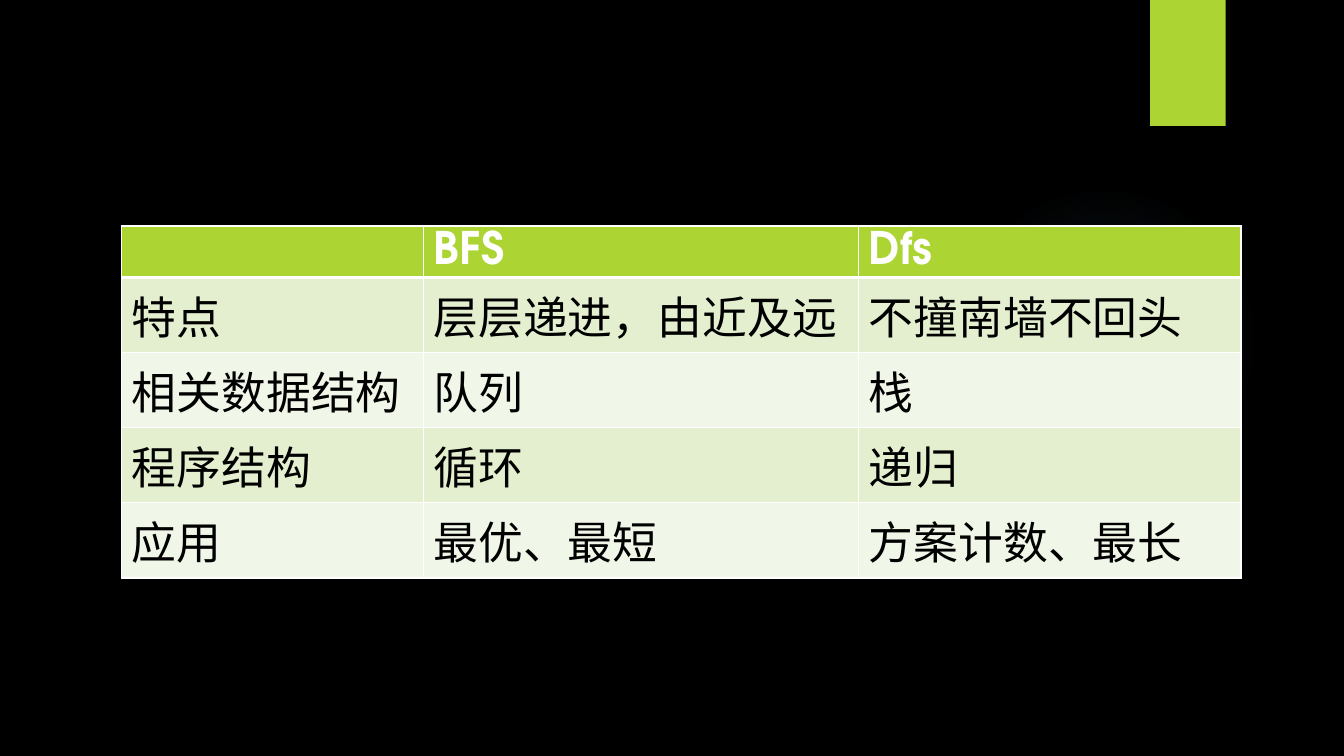
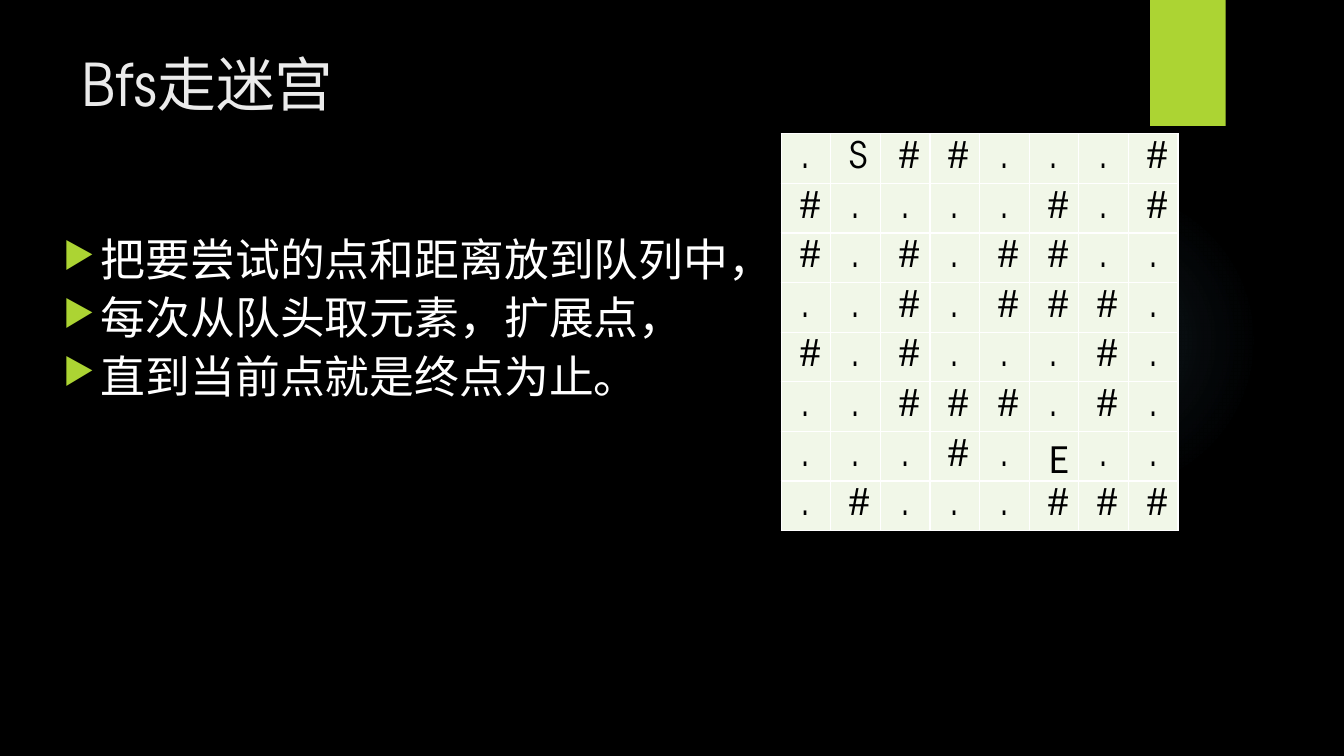
from lxml import etree
from pptx import Presentation
from pptx.dml.color import RGBColor
from pptx.enum.shapes import MSO_SHAPE as SHAPE
from pptx.enum.text import MSO_ANCHOR as ANCHOR, PP_ALIGN as ALIGN
from pptx.oxml import parse_xml
from pptx.oxml.ns import nsdecls, qn
from pptx.util import Pt

COMPARISON = [
    ("", "BFS", "Dfs"),
    ("特点", "层层递进，由近及远", "不撞南墙不回头"),
    ("相关数据结构", "队列", "栈"),
    ("程序结构", "循环", "递归"),
    ("应用", "最优、最短", "方案计数、最长"),
]
MAZE_TITLE = "Bfs走迷宫"
MAZE_STEPS = [
    "把要尝试的点和距离放到队列中，",
    "每次从队头取元素，扩展点，",
    "直到当前点就是终点为止。",
]
MAZE = [
    ".S##...#",
    "#....#.#",
    "#.#.##..",
    "..#.###.",
    "#.#...#.",
    "..###.#.",
    "...#.E..",
    ".#...###",
]

LATIN, CJK = "TeX Gyre Adventor", "Noto Sans CJK SC"
BLACK, WHITE, TITLE = "000000", "FFFFFF", "EBEBEB"
GREEN, BAND, PALE, GLOW = "ACD433", "E3EFCE", "F1F7E8", "7AC4F0"
GLOW_STOPS = [(0, 7), (36, 6), (69, 0)]


def rgb(color):
    return RGBColor.from_string(color)


def style(p, size, color, bold=False, latin=LATIN):
    for r in p.runs:
        f = r.font
        f.size, f.bold, f.name = Pt(size), bold, latin
        f.color.rgb = rgb(color)
        ea = etree.Element(qn("a:ea"), typeface=CJK)
        r._r.rPr.find(qn("a:latin")).addnext(ea)


def add_plain_shape(s, kind, x, y, w, h, color):
    sp = s.shapes.add_shape(kind, Pt(x), Pt(y), Pt(w), Pt(h))
    sp.shadow.inherit = False
    sp.fill.solid()
    sp.fill.fore_color.rgb = rgb(color)
    sp.line.fill.background()
    return sp


def add_slide(prs):
    s = prs.slides.add_slide(prs.slide_layouts[6])
    s.background.fill.solid()
    s.background.fill.fore_color.rgb = rgb(BLACK)
    glow = add_plain_shape(s, SHAPE.OVAL, 677.5, 131.8, 221.8, 221.8, GLOW)
    stops = "".join(
        f'<a:gs pos="{pos * 1000}"><a:srgbClr val="{GLOW}">'
        f'<a:alpha val="{alpha * 1000}"/></a:srgbClr></a:gs>'
        for pos, alpha in GLOW_STOPS)
    spPr = glow._element.spPr
    spPr.replace(spPr.find(qn("a:solidFill")), parse_xml(
        f'<a:gradFill {nsdecls("a")}><a:gsLst>{stops}</a:gsLst><a:path path="circle">'
        '<a:fillToRect l="50000" t="50000" r="50000" b="50000"/></a:path></a:gradFill>'))
    add_plain_shape(s, SHAPE.RECTANGLE, 821.5, 0, 54, 90, GREEN)
    return s


def add_text(s, x, y, w, h, lines, size, color):
    tf = s.shapes.add_textbox(Pt(x), Pt(y), Pt(w), Pt(h)).text_frame
    tf.word_wrap = True
    tf.text = "\n".join(lines)
    for p in tf.paragraphs:
        p.line_spacing = 0.9
        style(p, size, color)
    return tf


def add_bullets(tf):
    for i, p in enumerate(tf.paragraphs):
        if i:
            p.space_before = Pt(7)
        pPr = p._p.get_or_add_pPr()
        pPr.set("marL", str(Pt(27)))
        pPr.set("indent", str(-Pt(27)))
        for xml in (f'<a:buClr {nsdecls("a")}><a:srgbClr val="{GREEN}"/></a:buClr>',
                    f'<a:buSzPct {nsdecls("a")} val="80000"/>',
                    f'<a:buChar {nsdecls("a")} char="▶"/>'):
            pPr.append(parse_xml(xml))


def fill_cell(cell, color, bottom=1):
    tcPr = cell._tc.get_or_add_tcPr()
    for side, width in (("L", 1), ("R", 1), ("T", 1), ("B", bottom)):
        tcPr.append(parse_xml(
            f'<a:ln{side} {nsdecls("a")} w="{Pt(width)}"><a:solidFill>'
            f'<a:srgbClr val="{WHITE}"/></a:solidFill></a:ln{side}>'))
    cell.fill.solid()
    cell.fill.fore_color.rgb = rgb(color)


def add_grid(s, x, y, widths, heights, rows):
    tbl = s.shapes.add_table(len(heights), len(widths), Pt(x), Pt(y),
                             Pt(sum(widths)), Pt(sum(heights))).table
    tbl.horz_banding = False
    for col, w in zip(tbl.columns, widths):
        col.width = Pt(w)
    for row, h, texts in zip(tbl.rows, heights, rows):
        row.height = Pt(h)
        for cell, text in zip(row.cells, texts):
            cell.text = text
    return tbl


def build_comparison(prs):
    s = add_slide(prs)
    tbl = add_grid(s, 87, 161.5, [215.5, 311, 273], [36] + [53.6] * 4, COMPARISON)
    for i, row in enumerate(tbl.rows):
        header = i == 0
        color = GREEN if header else BAND if i % 2 else PALE
        for cell in row.cells:
            fill_cell(cell, color, 3 if header else 1)
            style(cell.text_frame.paragraphs[0], 32, WHITE if header else BLACK, header)


def build_maze(prs):
    s = add_slide(prs)
    add_text(s, 51, 36, 741, 110, [MAZE_TITLE], 42, TITLE)
    add_bullets(add_text(s, 38, 166.5, 704, 330, MAZE_STEPS, 32, WHITE))
    side = [35.45] * len(MAZE)
    tbl = add_grid(s, 558, 95.5, side, side, MAZE)
    tbl.first_row = False
    for cell in tbl.iter_cells():
        fill_cell(cell, PALE)
        cell.vertical_anchor = ANCHOR.MIDDLE
        cell.margin_left = cell.margin_right = Pt(13.5)
        cell.margin_top = cell.margin_bottom = 0
        p = cell.text_frame.paragraphs[0]
        p.alignment = ALIGN.CENTER
        style(p, 26, BLACK, latin=CJK if cell.text == "E" else LATIN)


def main():
    prs = Presentation()
    prs.slide_width, prs.slide_height = Pt(960), Pt(540)
    build_comparison(prs)
    build_maze(prs)
    prs.save("out.pptx")


if __name__ == "__main__":
    main()
